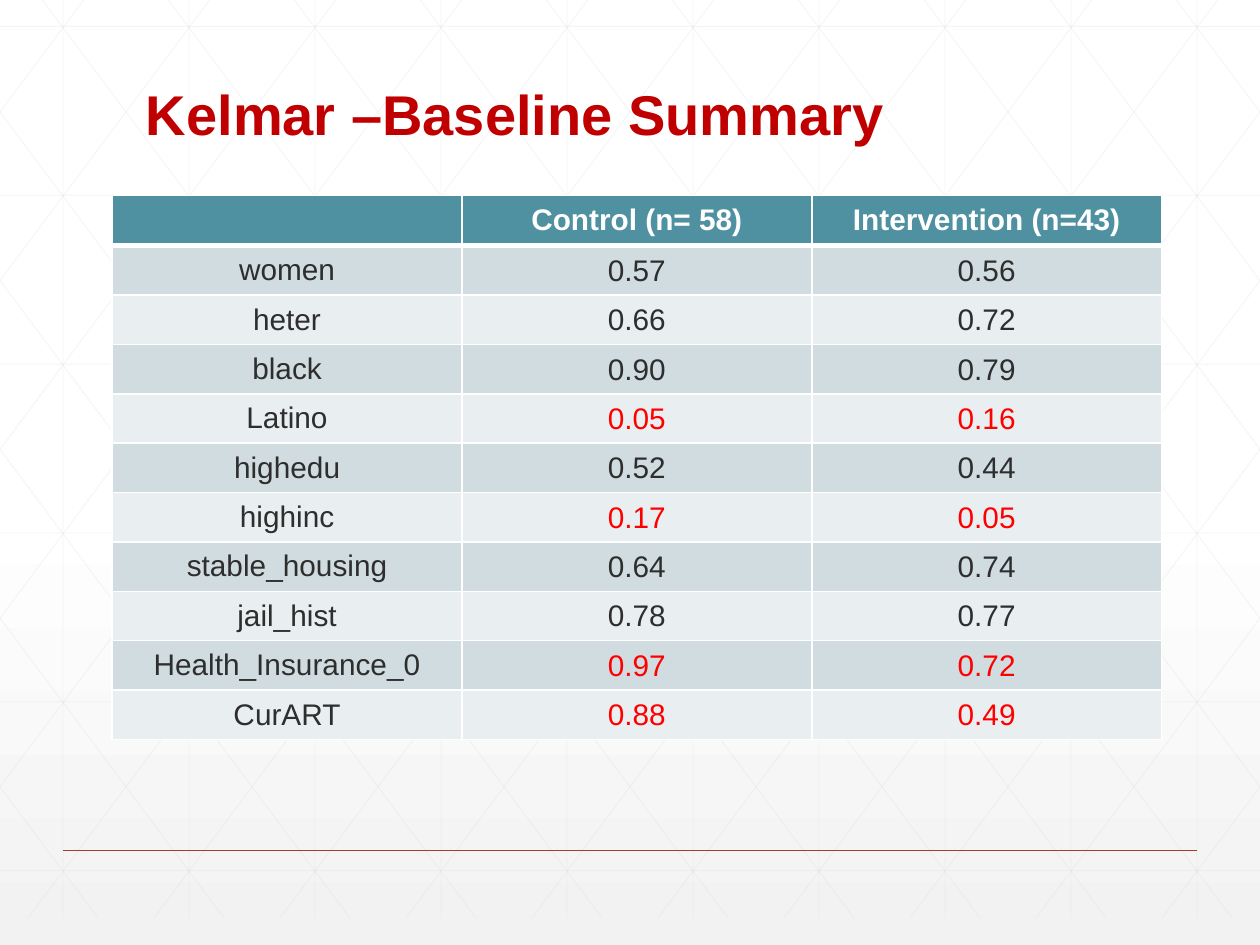
from lxml import etree
from pptx import Presentation
from pptx.dml.color import RGBColor
from pptx.enum.shapes import MSO_CONNECTOR
from pptx.enum.text import MSO_ANCHOR, PP_ALIGN
from pptx.oxml.ns import qn
from pptx.util import Inches, Pt

STRAIGHT = MSO_CONNECTOR.STRAIGHT
MIDDLE, BOTTOM = MSO_ANCHOR.MIDDLE, MSO_ANCHOR.BOTTOM
CENTER = PP_ALIGN.CENTER

WHITE = RGBColor(0xFF, 0xFF, 0xFF)
PALE = RGBColor(0xF2, 0xF2, 0xF2)
MESH = RGBColor(0xD9, 0xD9, 0xD9)
RUST = RGBColor(0xA4, 0x3F, 0x27)
CRIMSON = RGBColor(0xC0, 0x00, 0x00)
RED = RGBColor(0xFF, 0x00, 0x00)
INK = RGBColor(0x2D, 0x2E, 0x2D)
TEAL = RGBColor(0x4F, 0x91, 0xA1)
BANDS = (RGBColor(0xD0, 0xDC, 0xE0), RGBColor(0xE9, 0xEE, 0xF0))

FONT = "Arial"
WIDTH, HEIGHT = 10, 7.5
TOP, BASE = -0.21, 7.29
RUN = 5.6
SLOPE = (BASE - TOP) / RUN

HEAD = ("", "Control (n= 58)", "Intervention (n=43)")
ROWS = (
    ("women", "0.57", "0.56"),
    ("heter", "0.66", "0.72"),
    ("black", "0.90", "0.79"),
    ("Latino", "0.05", "0.16"),
    ("highedu", "0.52", "0.44"),
    ("highinc", "0.17", "0.05"),
    ("stable_housing", "0.64", "0.74"),
    ("jail_hist", "0.78", "0.77"),
    ("Health_Insurance_0", "0.97", "0.72"),
    ("CurART", "0.88", "0.49"),
)
MARKED = {"Latino", "highinc", "Health_Insurance_0", "CurART"}


def paint_back(slide):
    fill = slide.background.fill
    fill.gradient()
    fill.gradient_angle = 270
    for stop, place, color in zip(fill.gradient_stops, (0.53, 1), (WHITE, PALE)):
        stop.position = place
        stop.color.rgb = color


def add_line(slide, start, end, color, width, alpha=None):
    ends = [Inches(v) for v in (*start, *end)]
    line = slide.shapes.add_connector(STRAIGHT, *ends)
    line.line.color.rgb = color
    line.line.width = Pt(width)
    props = line._element.spPr
    etree.SubElement(props, qn("a:effectLst"))
    if alpha:
        tint = next(props.iter(qn("a:srgbClr")))
        etree.SubElement(tint, qn("a:alpha"), val=str(alpha * 1000))


def add_mesh(slide):
    lines = [((i + 0.5, TOP), (i + 0.5, BASE)) for i in range(10)]
    lines += [((0, 0.21 + 1.34 * i), (WIDTH, 0.21 + 1.34 * i)) for i in range(6)]
    for i in range(-5, 10):
        left = i + 0.18
        x1, x2 = max(left, 0), min(left + RUN, WIDTH)
        y1, y2 = (TOP + (x - left) * SLOPE for x in (x1, x2))
        lines.append(((x1, y1), (x2, y2)))
        lines.append(((WIDTH - x1, y1), (WIDTH - x2, y2)))
    for start, end in lines:
        add_line(slide, start, end, MESH, 0.5, 25)


def style_text(para, size, color, bold):
    for run in para.runs:
        font = run.font
        font.name, font.size, font.bold = FONT, Pt(size), bold
        font.color.rgb = color


def add_title(slide, text):
    box = slide.shapes.add_textbox(Inches(1.06), Inches(0.55), Inches(7.88), Inches(0.67))
    frame = box.text_frame
    frame.word_wrap = True
    frame.vertical_anchor = BOTTOM
    frame.text = text
    para = frame.paragraphs[0]
    para.line_spacing = 0.9
    style_text(para, 32, CRIMSON, True)


def add_edges(cell, base):
    props = cell._tc.get_or_add_tcPr()
    for side, width in (("L", 1), ("R", 1), ("T", 1), ("B", base)):
        edge = etree.SubElement(props, qn("a:ln" + side), w=str(Pt(width)))
        fill = etree.SubElement(edge, qn("a:solidFill"))
        etree.SubElement(fill, qn("a:srgbClr"), val=str(WHITE))


def fill_cell(cell, text, fill, color, pads, bold=False, base=1):
    add_edges(cell, base)
    cell.fill.solid()
    cell.fill.fore_color.rgb = fill
    cell.vertical_anchor = MIDDLE
    side, top, low = (Inches(pad) for pad in pads)
    cell.margin_left = cell.margin_right = side
    cell.margin_top, cell.margin_bottom = top, low
    cell.text = text
    para = cell.text_frame.paragraphs[0]
    para.alignment = CENTER
    style_text(para, 17, color, bold)


def add_grid(slide):
    frame = slide.shapes.add_table(
        len(ROWS) + 1, len(HEAD), Inches(0.89), Inches(1.55), Inches(8.33), Inches(4.31))
    table = frame.table
    for col, text in enumerate(HEAD):
        fill_cell(table.cell(0, col), text, TEAL, WHITE, (0.1, 0.05, 0.05), True, 3)
    for row, texts in enumerate(ROWS, 1):
        band = BANDS[(row - 1) % 2]
        for col, text in enumerate(texts):
            color = RED if col and texts[0] in MARKED else INK
            pads = (0.01, 0.01, 0) if col else (0.05, 0.04, 0.04)
            base = 1
            fill_cell(table.cell(row, col), text, band, color, pads, base=base)


def main():
    deck = Presentation()
    deck.slide_width, deck.slide_height = Inches(WIDTH), Inches(HEIGHT)
    slide = deck.slides.add_slide(deck.slide_layouts[6])
    paint_back(slide)
    add_mesh(slide)
    add_line(slide, (0.5, 6.75), (9.5, 6.75), RUST, 1)
    add_title(slide, "Kelmar –Baseline Summary")
    add_grid(slide)
    deck.save("out.pptx")


if __name__ == "__main__":
    main()
